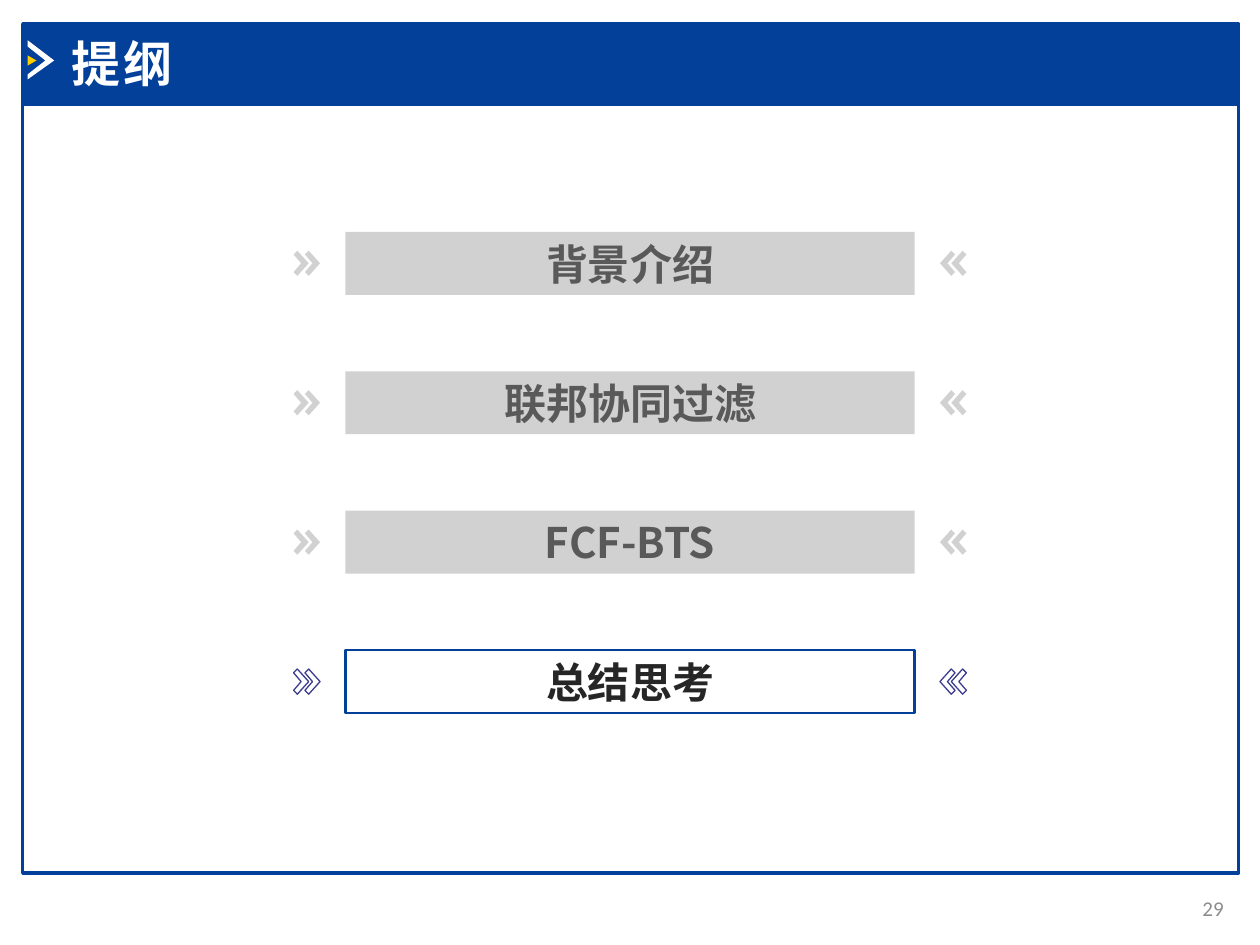
from dataclasses import dataclass

from lxml import etree
from pptx import Presentation
from pptx import util as u
from pptx.dml.color import RGBColor
from pptx.enum import shapes, text
from pptx.oxml.ns import qn


@dataclass(frozen=True)
class Theme:
    blue: str = "02409A"
    violet: str = "3C3C8E"
    gray: str = "A5A5A5"
    dim: str = "595959"
    dark: str = "262626"
    pale: str = "8C8C8C"
    white: str = "FFFFFF"
    gold: str = "FFCC00"
    latin: str = "Calibri"
    cjk: str = "Noto Sans CJK SC"
    head: int = 28
    body: int = 24
    note: int = 12


class Deck:
    def __init__(self, theme):
        self.theme = theme
        self.prs = Presentation()
        self.prs.slide_width, self.prs.slide_height = u.Inches(10), u.Inches(7.5)
        self.slide = self.prs.slides.add_slide(self.prs.slide_layouts[6])

    def group(self):
        return self.slide.shapes.add_group_shape().shapes

    def paint(self, shape, fill=None, line=None, width=1, alpha=None):
        """Set fill and line; alpha is the fill's opacity in percent."""
        shape.shadow.inherit = False
        if fill:
            shape.fill.solid()
            shape.fill.fore_color.rgb = RGBColor.from_string(fill)
            if alpha:
                color = shape.fill._xPr.find(".//" + qn("a:srgbClr"))
                etree.SubElement(color, qn("a:alpha"), val=str(alpha * 1000))
        else:
            shape.fill.background()
        if line:
            shape.line.color.rgb = RGBColor.from_string(line)
            shape.line.width = u.Pt(width)
        else:
            shape.line.fill.background()

    def rect(self, parent, box, **look):
        shape = parent.add_shape(shapes.MSO_SHAPE.RECTANGLE, *map(u.Inches, box))
        self.paint(shape, **look)
        return shape

    def poly(self, parent, points, **look):
        dots = [(u.Inches(x), u.Inches(y)) for x, y in points]
        pen = parent.build_freeform(*dots[0])
        pen.add_line_segments(dots[1:], close=True)
        self.paint(pen.convert_to_shape(), **look)

    def letter(self, shape, words, color, align, font, anchor, space=0):
        """Put one styled line of text into a shape; space is in points."""
        frame = shape.text_frame
        frame.word_wrap = True
        frame.vertical_anchor = anchor
        para = frame.paragraphs[0]
        para.alignment = align
        run = para.add_run()
        run.text = words
        for name, value in font.items():
            setattr(run.font, name, value)
        run.font.color.rgb = RGBColor.from_string(color)
        props = run.font._element
        if space:
            props.set("spc", str(space * 100))
        etree.SubElement(props, qn("a:ea"), typeface=self.theme.cjk)

    def label(self, box, *args, **more):
        self.letter(self.slide.shapes.add_textbox(*map(u.Inches, box)), *args, **more)

    def item(self, top, words, live):
        """Draw one outline entry with a pair of chevrons on each side."""
        t = self.theme
        gray = {"fill": t.gray, "alpha": 50}
        bar = {"line": t.blue, "width": 1.5} if live else gray
        mark = {"line": t.violet, "width": 0.75} if live else gray
        group = self.group()
        shape = self.rect(group, (2.74, top, 4.52, 0.5), **bar)
        self.letter(shape, words, t.dark if live else t.dim, text.PP_ALIGN.CENTER,
                    {"name": t.cjk, "size": u.Pt(t.body), "bold": True},
                    text.MSO_ANCHOR.MIDDLE)
        for side in (-1, 1):
            for far in (2.67, 2.58):
                self.poly(group, [(5 + side * (far - x), top + 0.15 + y)
                                  for x, y in CHEVRON], **mark)


CHEVRON = [(0.03, 0), (0, 0.03), (0.06, 0.1), (0, 0.17), (0.03, 0.2), (0.12, 0.1)]
ITEMS = ["背景介绍", "联邦协同过滤", "FCF-BTS", "总结思考"]
TOP, LAST, LIVE = 1.84, 5.16, 3
STEP = (LAST - TOP) / (len(ITEMS) - 1)


def main():
    t = Theme()
    deck = Deck(t)

    frame = deck.group()
    deck.rect(frame, (0.18, 0.83, 9.65, 6.1), line=t.blue, width=2)
    deck.rect(frame, (0.18, 0.19, 9.65, 0.64), fill=t.blue, line=t.blue, width=2)
    deck.poly(frame, [(0.22, 0.32), (0.22, 0.37), (0.36, 0.48), (0.22, 0.59),
                      (0.22, 0.63), (0.43, 0.48)], fill=t.white)
    deck.poly(frame, [(0.22, 0.44), (0.22, 0.52), (0.29, 0.48)], fill=t.gold)

    for i, words in enumerate(ITEMS):
        deck.item(TOP + i * STEP, words, i == LIVE)

    deck.label((0.47, 0.22, 3.56, 0.57), "提纲", t.white, text.PP_ALIGN.LEFT,
               {"name": t.latin, "size": u.Pt(t.head), "bold": True},
               text.MSO_ANCHOR.TOP, space=2)
    deck.label((9.22, 7.01, 0.59, 0.4), "29", t.pale, text.PP_ALIGN.RIGHT,
               {"name": t.latin, "size": u.Pt(t.note)}, text.MSO_ANCHOR.MIDDLE)

    deck.prs.save("out.pptx")


if __name__ == "__main__":
    main()
